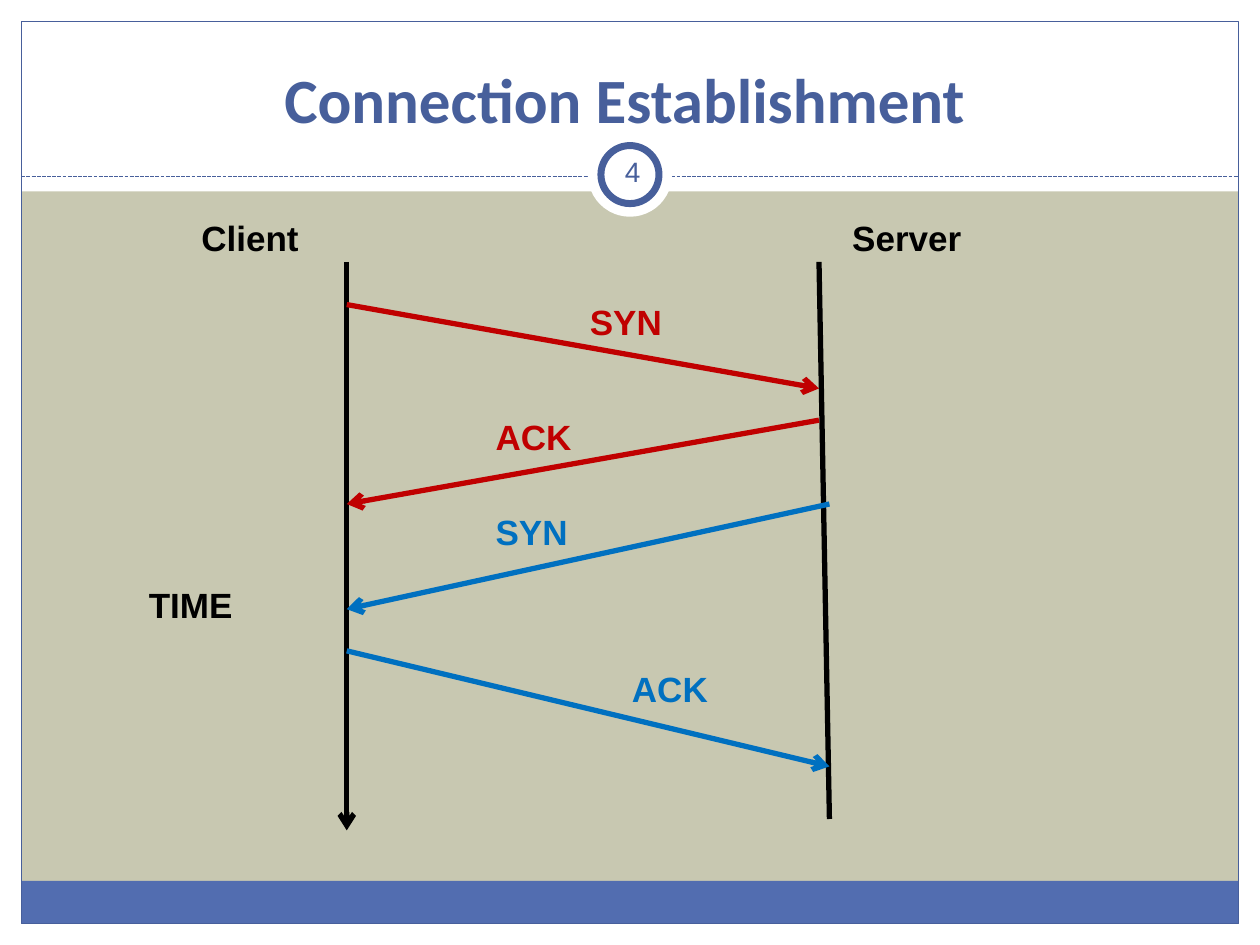
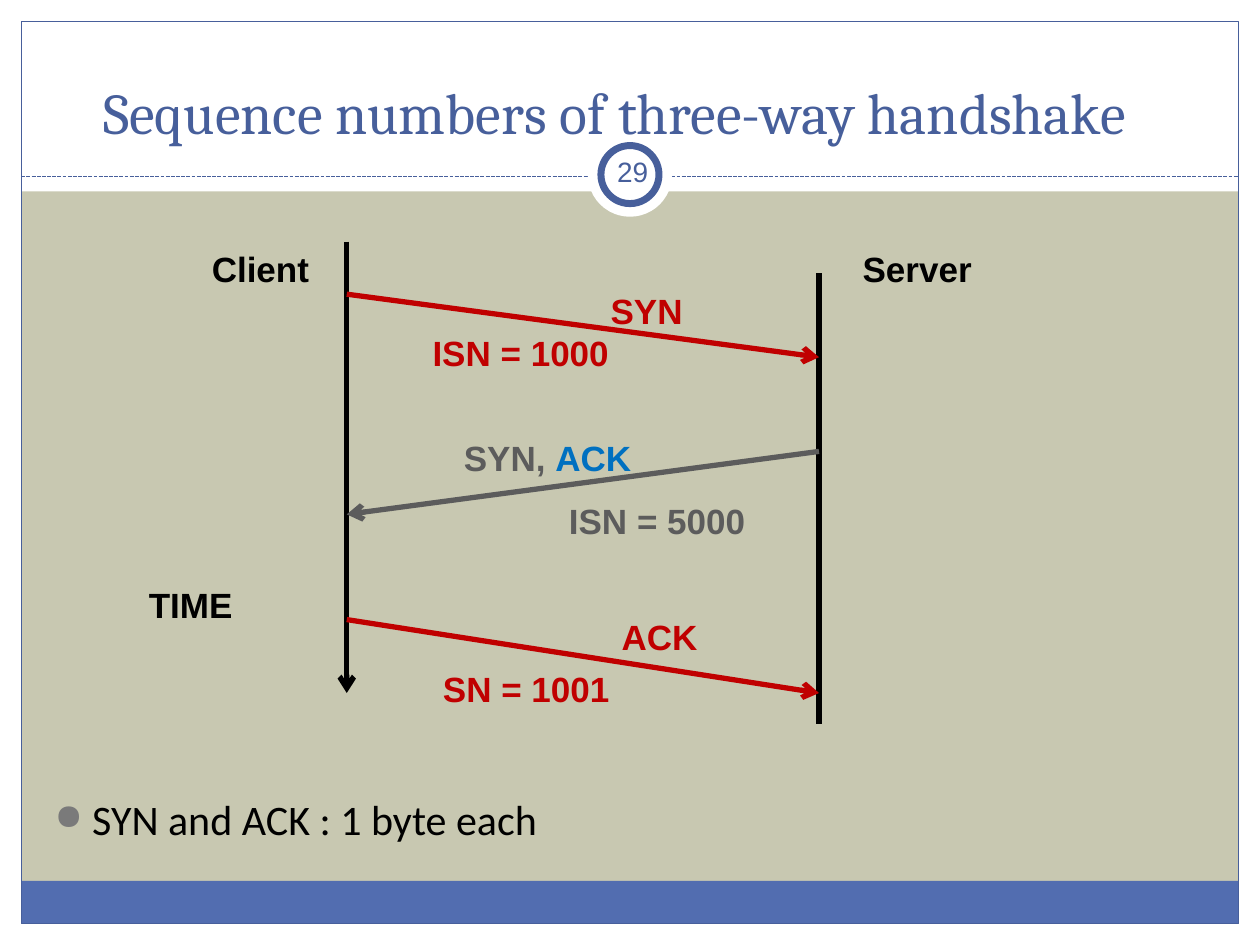
from dataclasses import dataclass, field

from lxml import etree
from pptx import Presentation, util as u
from pptx.dml.color import RGBColor
from pptx.enum import dml, shapes, text
from pptx.oxml import ns

WIDTH, HEIGHT = 25.4, 19.05
MARGIN = 0.43
HEADER_HEIGHT = 3.86
DIVIDER_Y = 3.56
FOOTER_HEIGHT = 0.86
BADGE_X, BADGE_Y = 12.7, 3.52
CLIENT_X, SERVER_X = 6.99, 16.51
LABEL_HEIGHT = 1.11

WHITE, BLACK, SAND = "FFFFFF", "000000", "C8C8B1"
NAVY, BLUE_BAND = "475F9B", "526DB0"
RED, BLUE, GREY, BULLET_GREY = "C00000", "0070C0", "5C5C5C", "7A7A7A"


@dataclass(frozen=True)
class Style:
    font: str
    size: float
    color: str
    bold: bool = False


@dataclass(frozen=True)
class Box:
    left: float
    top: float
    width: float
    height: float


@dataclass(frozen=True)
class Title:
    wording: str
    box: Box
    style: Style


@dataclass(frozen=True)
class Line:
    x1: float
    y1: float
    x2: float
    y2: float
    color: str = BLACK
    arrow: bool = True


@dataclass(frozen=True)
class Label:
    left: float
    top: float
    width: float
    runs: tuple[tuple[str, str], ...]


@dataclass(frozen=True)
class Diagram:
    number: int
    title: Title
    lines: list[Line]
    labels: list[Label]
    bullets: list[str] = field(default_factory=list)


def label(wording: str, left: float, top: float, width: float = 2.12, color: str = BLACK) -> Label:
    return Label(left, top, width, ((wording, color),))


def rgb(color: str) -> RGBColor:
    return RGBColor.from_string(color)


def lengths(box: Box) -> list[u.Length]:
    return [u.Cm(value) for value in (box.left, box.top, box.width, box.height)]


def add_xml(parent, tag: str, **attributes: str):
    return etree.SubElement(parent, ns.qn(tag), attributes)


def draw_shape(slide, kind, box: Box, fill: str = "", line: str = "", line_width: float = 0.75) -> None:
    shape = slide.shapes.add_shape(kind, *lengths(box))
    shape.shadow.inherit = False
    if fill:
        shape.fill.solid()
        shape.fill.fore_color.rgb = rgb(fill)
    else:
        shape.fill.background()
    if line:
        shape.line.color.rgb = rgb(line)
        shape.line.width = u.Pt(line_width)
    else:
        shape.line.fill.background()


def draw_circle(slide, diameter: float, line: str = "") -> None:
    box = Box(BADGE_X - diameter / 2, BADGE_Y - diameter / 2, diameter, diameter)
    draw_shape(slide, shapes.MSO_SHAPE.OVAL, box, WHITE, line, 4)


def draw_line(slide, line: Line, width: float = 3):
    ends = [u.Cm(value) for value in (line.x1, line.y1, line.x2, line.y2)]
    connector = slide.shapes.add_connector(shapes.MSO_CONNECTOR.STRAIGHT, *ends)
    connector.line.color.rgb = rgb(line.color)
    connector.line.width = u.Pt(width)
    if line.arrow:
        add_xml(connector.line._get_or_add_ln(), "a:tailEnd", type="arrow")
    add_xml(connector._element.spPr, "a:effectLst")
    return connector


def add_text_box(slide, box: Box, anchor=text.MSO_ANCHOR.TOP):
    frame = slide.shapes.add_textbox(*lengths(box)).text_frame
    frame.word_wrap = True
    frame.vertical_anchor = anchor
    return frame


def add_run(paragraph, wording: str, style: Style) -> None:
    run = paragraph.add_run()
    run.text = wording
    run.font.name = style.font
    run.font.size = u.Pt(style.size)
    run.font.bold = style.bold
    run.font.color.rgb = rgb(style.color)


def draw_frame(slide) -> None:
    """Draw the white border, header, footer band, outline and badge."""
    inner_width = WIDTH - 2 * MARGIN
    bottom = HEIGHT - MARGIN
    rectangle = shapes.MSO_SHAPE.RECTANGLE
    for box in (
        Box(0, bottom, WIDTH, MARGIN),
        Box(0, 0, WIDTH, HEADER_HEIGHT),
        Box(0, 0, MARGIN, HEIGHT),
        Box(WIDTH - MARGIN, 0, MARGIN, HEIGHT),
    ):
        draw_shape(slide, rectangle, box, WHITE)
    footer = Box(MARGIN, bottom - FOOTER_HEIGHT, inner_width, FOOTER_HEIGHT)
    draw_shape(slide, rectangle, footer, BLUE_BAND)
    draw_shape(slide, rectangle, Box(MARGIN, MARGIN, inner_width, HEIGHT - 2 * MARGIN), line=NAVY)
    divider = Line(MARGIN, DIVIDER_Y, WIDTH - MARGIN, DIVIDER_Y, NAVY, arrow=False)
    draw_line(slide, divider, 0.75).line.dash_style = dml.MSO_LINE.SQUARE_DOT
    draw_circle(slide, 1.7)
    draw_circle(slide, 1.17, NAVY)


def draw_title(slide, title: Title) -> None:
    frame = add_text_box(slide, title.box, text.MSO_ANCHOR.BOTTOM)
    frame.margin_bottom = u.Cm(0.05)
    paragraph = frame.paragraphs[0]
    paragraph.alignment = text.PP_ALIGN.CENTER
    add_run(paragraph, title.wording, title.style)


def draw_number(slide, number: int) -> None:
    frame = add_text_box(slide, Box(12.12, 2.84, 1.27, 1.22), text.MSO_ANCHOR.MIDDLE)
    frame.margin_left = frame.margin_right = u.Cm(0.13)
    paragraph = frame.paragraphs[0]
    paragraph.alignment = text.PP_ALIGN.CENTER
    add_run(paragraph, str(number), Style("Arial", 16, NAVY))


def draw_label(slide, item: Label) -> None:
    frame = add_text_box(slide, Box(item.left, item.top, item.width, LABEL_HEIGHT))
    frame.auto_size = text.MSO_AUTO_SIZE.SHAPE_TO_FIT_TEXT
    for wording, color in item.runs:
        add_run(frame.paragraphs[0], wording, Style("Arial", 20, color, bold=True))


def draw_bullets(slide, bullets: list[str]) -> None:
    frame = add_text_box(slide, Box(0.85, 15.88, 23.5, 1.91))
    for index, wording in enumerate(bullets):
        paragraph = frame.add_paragraph() if index else frame.paragraphs[0]
        properties = paragraph._p.get_or_add_pPr()
        properties.set("marL", str(u.Cm(0.76)))
        properties.set("indent", str(u.Cm(-0.76)))
        add_xml(add_xml(properties, "a:buClr"), "a:srgbClr", val=BULLET_GREY)
        add_xml(properties, "a:buSzPct", val="85000")
        add_xml(properties, "a:buChar", char="●")
        add_run(paragraph, wording, Style("Calibri", 24, BLACK))


def draw_diagram(presentation, diagram: Diagram) -> None:
    slide = presentation.slides.add_slide(presentation.slide_layouts[6])
    slide.background.fill.solid()
    slide.background.fill.fore_color.rgb = rgb(SAND)
    draw_frame(slide)
    draw_title(slide, diagram.title)
    if diagram.bullets:
        draw_bullets(slide, diagram.bullets)
    for line in diagram.lines:
        draw_line(slide, line)
    for item in diagram.labels:
        draw_label(slide, item)
    draw_number(slide, diagram.number)


SERVER_END_X = 16.72
TIME_LABEL = label("TIME", 2.75, 11.64, 2.33)

DIAGRAMS = [
    Diagram(
        number=4,
        title=Title(
            "Connection Establishment",
            Box(1.7, 0.64, 21.79, 2.16),
            Style("Calibri", 36, NAVY, bold=True),
        ),
        lines=[
            Line(CLIENT_X, 5.28, CLIENT_X, 16.74),
            Line(SERVER_X, 5.28, SERVER_END_X, 16.51, arrow=False),
            Line(CLIENT_X, 6.14, SERVER_X, 7.83, RED),
            Line(SERVER_X, 8.47, CLIENT_X, 10.16, RED),
            Line(SERVER_END_X, 10.16, CLIENT_X, 12.28, BLUE),
            Line(CLIENT_X, 13.12, SERVER_END_X, 15.45, BLUE),
        ],
        labels=[
            label("SYN", 11.64, 5.93, color=RED),
            label("ACK", 9.74, 8.26, color=RED),
            label("SYN", 9.74, 10.16, color=BLUE),
            label("ACK", 12.49, 13.34, color=BLUE),
            TIME_LABEL,
            label("Client", 3.81, 4.23, 2.54),
            label("Server", 16.93, 4.23, 2.96),
        ],
    ),
    Diagram(
        number=29,
        title=Title(
            "Sequence numbers of three-way handshake",
            Box(0.64, 0.84, 23.5, 2.16),
            Style("Cambria", 33, NAVY),
        ),
        lines=[
            Line(CLIENT_X, 4.87, CLIENT_X, 13.97),
            Line(SERVER_X, 5.51, SERVER_X, 14.6, arrow=False),
            Line(CLIENT_X, 5.93, SERVER_X, 7.2, RED),
            Line(SERVER_X, 9.1, CLIENT_X, 10.37, GREY),
            Line(CLIENT_X, 12.49, SERVER_X, 13.97, RED),
        ],
        labels=[
            label("ISN = 1000", 8.47, 6.56, 5.08, RED),
            Label(9.1, 8.68, 4.02, (("SYN, ", GREY), ("ACK", BLUE))),
            label("ACK", 12.28, 12.28, color=RED),
            TIME_LABEL,
            label("Client", 4.02, 4.87, 2.54),
            label("Server", 17.14, 4.87, 2.96),
            label("SYN", 12.06, 5.72, color=RED),
            label("ISN = 5000", 11.22, 9.95, 5.08, GREY),
            label("SN = 1001", 8.68, 13.34, 5.08, RED),
        ],
        bullets=["SYN and ACK : 1 byte each"],
    ),
]


def main() -> None:
    presentation = Presentation()
    presentation.slide_width = u.Cm(WIDTH)
    presentation.slide_height = u.Cm(HEIGHT)
    for diagram in DIAGRAMS:
        draw_diagram(presentation, diagram)
    presentation.save("out.pptx")


if __name__ == "__main__":
    main()
